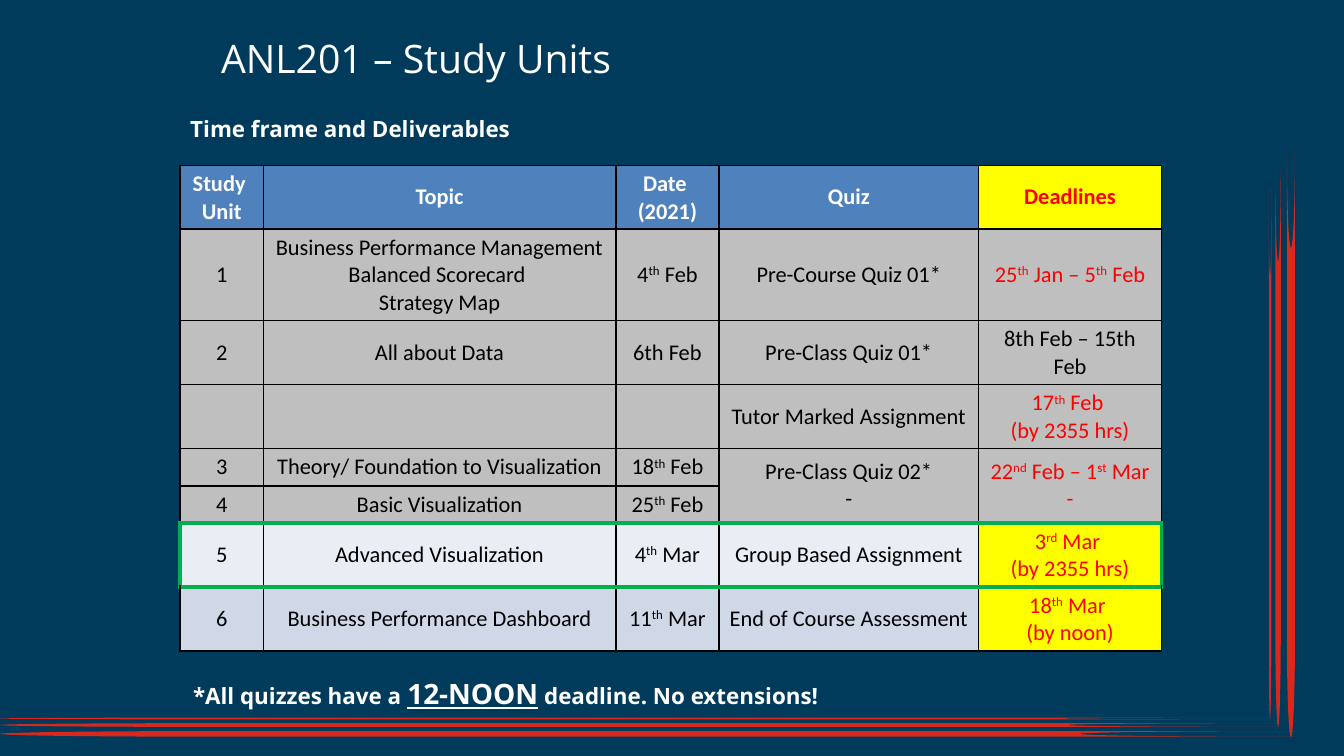
from lxml import etree
from pptx import Presentation
from pptx.dml.color import RGBColor
from pptx.enum.shapes import MSO_SHAPE
from pptx.enum.text import MSO_ANCHOR, PP_ALIGN
from pptx.oxml.ns import qn
from pptx.util import Pt

STROKE = MSO_SHAPE.FLOWCHART_STORED_DATA
CENTER = PP_ALIGN.CENTER
MIDDLE, TOP = MSO_ANCHOR.MIDDLE, MSO_ANCHOR.TOP

COLORS = {
    "navy": "003B5C", "stroke": "DA291C", "white": "FFFFFF", "black": "000000",
    "header": "4F81BD", "done": "BFBFBF", "current": "E9EDF4", "next": "D0D8E8",
    "yellow": "FFFF00", "red": "FF0000", "green": "00B050",
}

HEADINGS = [
    (113, 13, 36, MIDDLE, [("ANL201 – Study Units", 21, False, False)]),
    (96.5, 59, 18, TOP, [("Time frame and Deliverables", 12, True, False)]),
    (98, 360, 18, TOP, [("*All quizzes have a ", 12, True, False),
                        ("12-NOON", 15, True, True),
                        (" deadline. No extensions!", 12, True, False)]),
]
HEADING_WIDTH = 445.7

# Text between bars is superscript.
SCHEDULE = [
    ("Study \nUnit", "Topic", "Date \n(2021)", "Quiz", "Deadlines"),
    ("1", "Business Performance Management\nBalanced Scorecard \nStrategy Map",
     "4|th| Feb", "Pre-Course Quiz 01*", "25|th| Jan – 5|th| Feb"),
    ("2", "All about Data", "6th Feb", "Pre-Class Quiz 01*", "8th Feb – 15th Feb"),
    ("", "", "", "Tutor Marked Assignment", "17|th| Feb \n(by 2355 hrs)"),
    ("3", "Theory/ Foundation to Visualization", "18|th| Feb",
     "Pre-Class Quiz 02*\n-", "22|nd| Feb – 1|st| Mar\n-"),
    ("4", "Basic Visualization", "25|th| Feb", "", ""),
    ("5", "Advanced Visualization", "4|th| Mar", "Group Based Assignment",
     "3|rd| Mar \n(by 2355 hrs)"),
    ("6", "Business Performance Dashboard", "11|th| Mar",
     "End of Course Assessment", "18|th| Mar \n(by noon)"),
]
ROW_FILLS = ["header"] + ["done"] * 5 + ["current", "next"]
ROW_HEIGHTS = [34, 49, 34, 34, 20, 20, 34, 34]
COLUMN_WIDTHS = [44.6, 188.8, 55.4, 139, 98]
DEADLINE_COLUMN = 4
YELLOW_ROWS = (0, 6, 7)
BLACK_DEADLINE_ROW = 2
CURRENT_ROW = 6
MERGED_ROWS, MERGED_COLUMNS = (4, 5), (3, 4)

BOTTOM_STROKES = [(384.5, 680.4, 0.9), (387.4, 686.2, 2), (391.7, 694.1, 3)]
SIDE_STROKES = [(680.4, 385.2, 285.1, 1.4), (684.7, 389.5, 299.5, 2.9),
                (691.6, 394.9, 314.6, 4.3)]


def rgb(name):
    return RGBColor.from_string(COLORS[name])


def add_stroke(slide, left, top, length, thickness, rotation=0):
    stroke = slide.shapes.add_shape(STROKE, Pt(left), Pt(top), Pt(length), Pt(thickness))
    stroke.rotation = rotation
    stroke.shadow.inherit = False
    stroke.fill.solid()
    stroke.fill.fore_color.rgb = rgb("stroke")
    stroke.line.fill.background()


def add_heading(slide, left, top, height, anchor, pieces):
    heading = slide.shapes.add_textbox(Pt(left), Pt(top), Pt(HEADING_WIDTH), Pt(height))
    frame = heading.text_frame
    frame.word_wrap = True
    frame.vertical_anchor = anchor
    frame.margin_left = frame.margin_right = Pt(5.4)
    frame.margin_top = frame.margin_bottom = Pt(2.7)
    for text, size, bold, underline in pieces:
        run = frame.paragraphs[0].add_run()
        run.text = text
        font = run.font
        font.name, font.size = "Open Sans", Pt(size)
        font.bold, font.underline = bold, underline
        font.color.rgb = rgb("white")


def set_borders(cell, row, column):
    current = row == CURRENT_ROW
    green = {
        "a:lnL": current and column == 0,
        "a:lnR": current and column == DEADLINE_COLUMN,
        "a:lnT": row in (CURRENT_ROW, CURRENT_ROW + 1),
        "a:lnB": row in (CURRENT_ROW - 1, CURRENT_ROW),
    }
    properties = cell._tc.get_or_add_tcPr()
    for side, highlighted in green.items():
        width = Pt(2.25 if highlighted else 1)
        border = etree.SubElement(properties, qn(side), w=str(int(width)))
        fill = etree.SubElement(border, qn("a:solidFill"))
        color = COLORS["green" if highlighted else "black"]
        etree.SubElement(fill, qn("a:srgbClr"), val=color)


def fill_cell(cell, row, column, text):
    is_deadline = column == DEADLINE_COLUMN
    set_borders(cell, row, column)
    cell.fill.solid()
    yellow = is_deadline and row in YELLOW_ROWS
    cell.fill.fore_color.rgb = rgb("yellow" if yellow else ROW_FILLS[row])
    cell.vertical_anchor = MIDDLE
    cell.margin_left = cell.margin_right = Pt(5.4)
    cell.margin_top = cell.margin_bottom = Pt(2.7)
    if not text:
        return
    if is_deadline and row != BLACK_DEADLINE_ROW:
        color = "red"
    else:
        color = "white" if row == 0 else "black"
    cell.text_frame.text = "\n" * text.count("\n")
    for paragraph, line in zip(cell.text_frame.paragraphs, text.split("\n")):
        paragraph.alignment = CENTER
        for index, piece in enumerate(line.split("|")):
            run = paragraph.add_run()
            run.text = piece
            run.font.name, run.font.size = "Calibri", Pt(12)
            run.font.bold = row == 0
            run.font.color.rgb = rgb(color)
            if index % 2:
                run._r.get_or_add_rPr().set("baseline", "30000")


def add_schedule(slide):
    table = slide.shapes.add_table(
        len(SCHEDULE), len(COLUMN_WIDTHS), Pt(96.5), Pt(88.6),
        Pt(sum(COLUMN_WIDTHS)), Pt(sum(ROW_HEIGHTS))).table
    table.horz_banding = False
    for column, width in zip(table.columns, COLUMN_WIDTHS):
        column.width = Pt(width)
    for row, height in zip(table.rows, ROW_HEIGHTS):
        row.height = Pt(height)
    for row, texts in enumerate(SCHEDULE):
        for column, text in enumerate(texts):
            fill_cell(table.cell(row, column), row, column, text)
    first, last = MERGED_ROWS
    for column in MERGED_COLUMNS:
        table.cell(first, column).merge(table.cell(last, column))


def main():
    deck = Presentation()
    deck.slide_width, deck.slide_height = Pt(720), Pt(405)
    slide = deck.slides.add_slide(deck.slide_layouts[6])
    slide.background.fill.solid()
    slide.background.fill.fore_color.rgb = rgb("navy")
    for top, length, thickness in BOTTOM_STROKES:
        add_stroke(slide, 0, top, length, thickness)
    for center, bottom, length, thickness in SIDE_STROKES:
        add_stroke(slide, center - length / 2, bottom - (length + thickness) / 2,
                   length, thickness, 270)
    for heading in HEADINGS:
        add_heading(slide, *heading)
    add_schedule(slide)
    deck.save("out.pptx")


if __name__ == "__main__":
    main()
